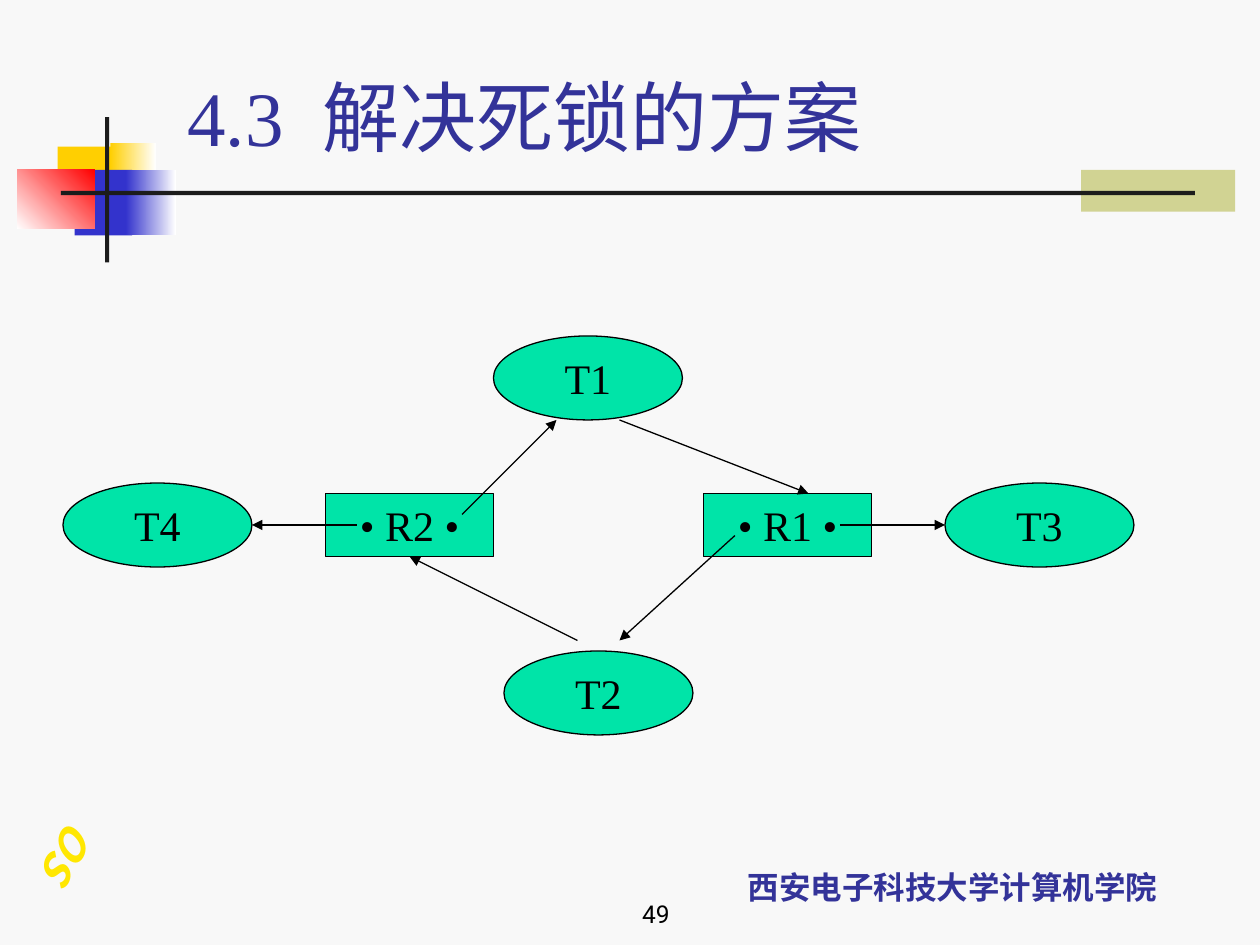
from lxml import etree
from pptx import Presentation
from pptx.dml.color import RGBColor
from pptx.enum.shapes import MSO_CONNECTOR, MSO_SHAPE
from pptx.enum.text import MSO_ANCHOR, PP_ALIGN
from pptx.oxml.ns import qn
from pptx.util import Pt

RECTANGLE, OVAL = MSO_SHAPE.RECTANGLE, MSO_SHAPE.OVAL
STRAIGHT = MSO_CONNECTOR.STRAIGHT
LEFT, CENTER, RIGHT = PP_ALIGN.LEFT, PP_ALIGN.CENTER, PP_ALIGN.RIGHT
MIDDLE, BOTTOM = MSO_ANCHOR.MIDDLE, MSO_ANCHOR.BOTTOM
CJK, SERIF, SANS = "Noto Sans CJK SC", "Times New Roman", "Roboto"
BLACK, NAVY = "000000", "333399"


def color(value):
    return RGBColor.from_string(value)


def write(shape, texts, size, font, ink, align, anchor, wrap=True, bold=False, italic=False):
    frame = shape.text_frame
    frame.word_wrap = wrap
    frame.vertical_anchor = anchor
    para = frame.paragraphs[0]
    para.alignment = align
    for text in texts:
        span = para.add_run()
        span.text = text
        span.font.size = Pt(size)
        span.font.name = font
        span.font.bold = bold
        span.font.italic = italic
        span.font.color.rgb = color(ink)
        etree.SubElement(span.font._element, qn("a:ea")).set("typeface", CJK)
    return para


deck = Presentation()
deck.slide_width, deck.slide_height = Pt(720), Pt(540)
page = deck.slides.add_slide(deck.slide_layouts[6])
page.background.fill.solid()
page.background.fill.fore_color.rgb = color("F8F8F8")

decorations = [
    (617.8, 97, 88, 24, ["D1D393"], 0),
    (33, 83.8, 34.5, 37.5, ["FFCF01"], 0),
    (63, 81.5, 26, 37.5, ["FFCF01", "FFFFFF"], 0),
    (42.6, 97, 33, 37.5, ["3333CC"], 0),
    (72, 97, 28.5, 37.5, ["3333CC", "FFFFFF"], 0),
    (9.8, 96.8, 44.3, 34, ["FFFFFF", "FF0000"], 45),
    (60, 67, 2.4, 83, ["1C1C1C"], 0),
    (34.8, 109.1, 648, 2.4, ["1C1C1C"], 0),
]
for left, top, width, height, tones, angle in decorations:
    block = page.shapes.add_shape(RECTANGLE, Pt(left), Pt(top), Pt(width), Pt(height))
    block.shadow.inherit = False
    block.line.fill.background()
    if len(tones) == 1:
        block.fill.solid()
        block.fill.fore_color.rgb = color(tones[0])
    else:
        block.fill.gradient()
        block.fill.gradient_angle = angle
        for stop, tone in zip(block.fill.gradient_stops, tones):
            stop.color.rgb = color(tone)

school = page.shapes.add_textbox(Pt(382.3), Pt(479.5), Pt(324), Pt(41.8))
write(school, ["西安电子科技大学计算机学院"], 18, CJK, NAVY, CENTER, BOTTOM, bold=True)

badge = page.shapes.add_textbox(Pt(13), Pt(462.2), Pt(47.5), Pt(61.2))
write(badge, ["OS"], 24, CJK, "FFE701", LEFT, MIDDLE, wrap=False, bold=True, italic=True)
badge.rotation = 29.3
badge_frame = badge.text_frame
badge_frame.margin_left = badge_frame.margin_right = Pt(3.6)
badge_frame.margin_top = badge_frame.margin_bottom = Pt(7.2)
badge_frame._txBody.bodyPr.set("vert", "eaVert")

number = page.shapes.add_textbox(Pt(239.8), Pt(498.2), Pt(150), Pt(36))
write(number, ["49"], 14, SANS, BLACK, RIGHT, BOTTOM)

title = page.shapes.add_textbox(Pt(100), Pt(36), Pt(613.5), Pt(59.8))
heading = write(title, ["4.3", " ", "解决死锁的方案"], 44, SERIF, NAVY, LEFT, BOTTOM)
heading.runs[1].font._element.set("spc", "1100")

nodes = {}
for label, kind, left, top, width, height in [
    ("T1", OVAL, 282, 192, 108, 48),
    ("T2", OVAL, 288, 372, 108, 48),
    ("T3", OVAL, 540, 276, 108, 48),
    ("T4", OVAL, 36, 276, 108, 48),
    ("• R2 •", RECTANGLE, 186, 282, 96, 36),
    ("• R1 •", RECTANGLE, 402, 282, 96, 36),
]:
    node = page.shapes.add_shape(kind, Pt(left), Pt(top), Pt(width), Pt(height))
    node.shadow.inherit = False
    node.fill.solid()
    node.fill.fore_color.rgb = color("00E4A8")
    node.line.color.rgb = color(BLACK)
    node.line.width = Pt(0.75)
    write(node, [label], 24, SERIF, BLACK, CENTER, MIDDLE, wrap=False)
    nodes[label] = node

arrows = []
for start_x, start_y, end_x, end_y in [
    (264, 294, 318, 240),
    (354, 240, 462, 282),
    (480, 300, 540, 300),
    (420, 306, 354, 366),
    (204, 300, 144, 300),
    (330, 366, 234, 318),
]:
    arrow = page.shapes.add_connector(STRAIGHT, Pt(start_x), Pt(start_y), Pt(end_x), Pt(end_y))
    arrow.line.color.rgb = color(BLACK)
    arrow.line.width = Pt(0.75)
    etree.SubElement(arrow.line._get_or_add_ln(), qn("a:tailEnd")).set("type", "triangle")
    etree.SubElement(arrow._element.spPr, qn("a:effectLst"))
    arrows.append(arrow)
arrows[-1].end_connect(nodes["• R2 •"], 2)

deck.save("out.pptx")
